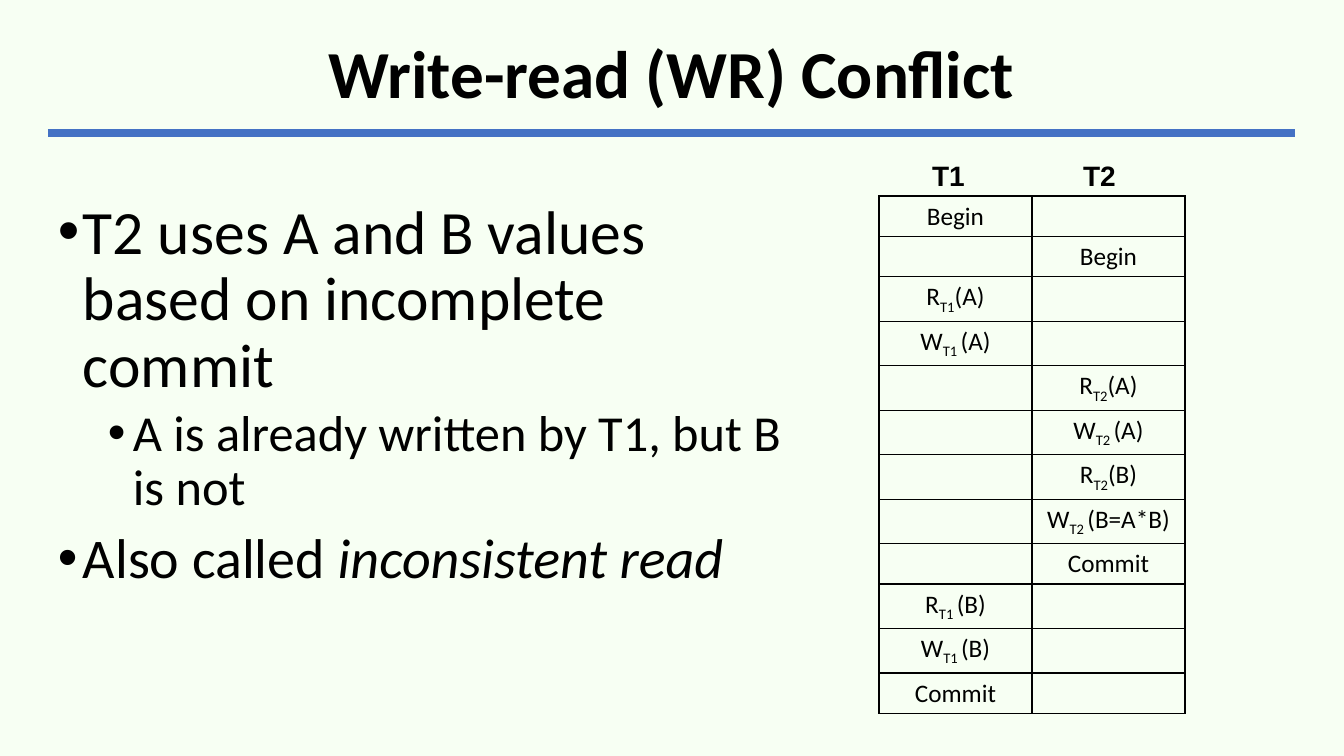
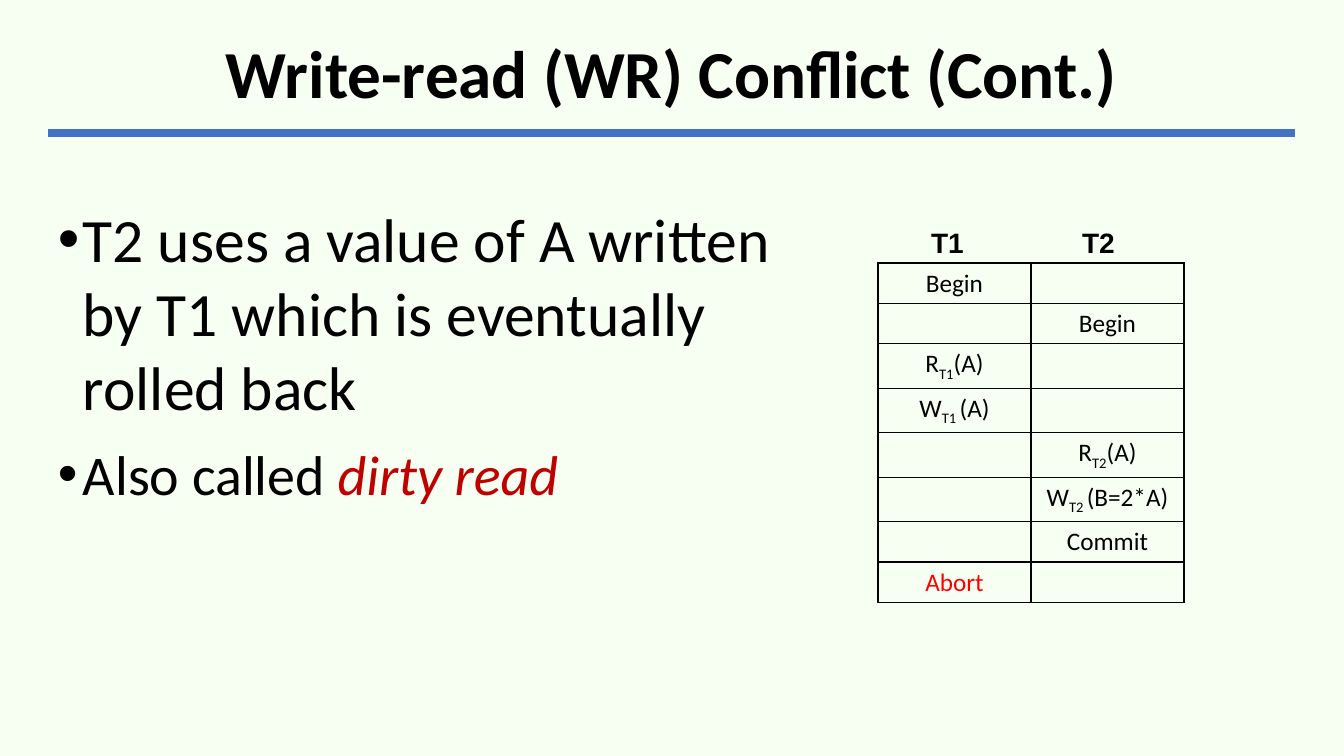
from lxml.etree import SubElement
from pptx import Presentation
from pptx.dml.color import RGBColor
from pptx.enum.shapes import MSO_CONNECTOR
from pptx.enum.text import MSO_ANCHOR, PP_ALIGN
from pptx.oxml import parse_xml
from pptx.oxml.ns import nsdecls, qn
from pptx.util import Pt

EMU_PER_PX = 914400 / 100.8
COLORS = {
    "background": "F7FFF3",
    "rule": "4472C4",
    "text": "000000",
    "emphasis": "C00000",
    "abort": "FF0000",
}
BODY_FONT = "Calibri"
HEADING_FONT = "Arial"

# Geometry shared by both slides
MARGIN, CONTENT_WIDTH = 48, 1247
BODY_TOP, BODY_WIDTH = 196, 749
COLUMN_WIDTH, ROW_HEIGHT = 153, 40
HEADING_INSET, HEADING_STEP, HEADING_WIDTH, HEADING_HEIGHT = 25, 151, 89, 68
BULLET_INDENT = 25

TRANSACTIONS = ["T1", "T2"]

# Each step is (transaction, operation); underscores enclose a subscript
INCONSISTENT_READ = [
    ("T1", "Begin"),
    ("T2", "Begin"),
    ("T1", "R_T1_(A)"),
    ("T1", "W_T1 _(A)"),
    ("T2", "R_T2_(A)"),
    ("T2", "W_T2 _(A)"),
    ("T2", "R_T2_(B)"),
    ("T2", "W_T2 _(B=A*B)"),
    ("T2", "Commit"),
    ("T1", "R_T1 _(B)"),
    ("T1", "W_T1 _(B)"),
    ("T1", "Commit"),
]
DIRTY_READ = [
    ("T1", "Begin"),
    ("T2", "Begin"),
    ("T1", "R_T1_(A)"),
    ("T1", "W_T1 _(A)"),
    ("T2", "R_T2_(A)"),
    ("T2", "W_T2 _(B=2*A)"),
    ("T2", "Commit"),
    ("T1", "Abort"),
]


def px(*lengths):
    return [round(length * EMU_PER_PX) for length in lengths]


def rgb(name):
    return RGBColor.from_string(COLORS[name])


def add_run(paragraph, text, size, font=BODY_FONT, color="text", bold=False, italic=False):
    run = paragraph.add_run()
    run.text = text
    run.font.size = Pt(size)
    run.font.name = font
    run.font.color.rgb = rgb(color)
    run.font.bold = bold
    run.font.italic = italic
    return run


def add_text_frame(slide, left, top, width, height):
    frame = slide.shapes.add_textbox(*px(left, top, width, height)).text_frame
    frame.word_wrap = True
    return frame


def add_title(slide, title):
    frame = add_text_frame(slide, MARGIN, 24, CONTENT_WIDTH, 105)
    frame.vertical_anchor = MSO_ANCHOR.MIDDLE
    paragraph = frame.paragraphs[0]
    paragraph.alignment = PP_ALIGN.CENTER
    paragraph.line_spacing = 0.9
    add_run(paragraph, title, 48, bold=True)


def add_title_rule(slide):
    rule = slide.shapes.add_connector(
        MSO_CONNECTOR.STRAIGHT, *px(MARGIN, 133, MARGIN + CONTENT_WIDTH, 133))
    rule.line.color.rgb = rgb("rule")
    rule.line.width = Pt(6)
    SubElement(rule._element.spPr, qn("a:effectLst"))


def add_bullet(paragraph, level, line_spacing, space_before):
    paragraph.level = level
    paragraph.line_spacing = line_spacing
    paragraph.space_before = Pt(space_before)
    properties = paragraph._p.get_or_add_pPr()
    left, hanging = px(BULLET_INDENT * (1 + 2 * level), -BULLET_INDENT)
    properties.set("marL", str(left))
    properties.set("indent", str(hanging))
    SubElement(properties, qn("a:buFont"), typeface="Arial")
    SubElement(properties, qn("a:buChar"), char="•")


def add_body(slide, height, line_spacing, points):
    """Each point is (level, space before, size, [(text, run style), ...])."""
    frame = add_text_frame(slide, MARGIN, BODY_TOP, BODY_WIDTH, height)
    for index, (level, space_before, size, pieces) in enumerate(points):
        paragraph = frame.add_paragraph() if index else frame.paragraphs[0]
        add_bullet(paragraph, level, line_spacing, space_before)
        for text, style in pieces:
            add_run(paragraph, text, size, **style)


def style_cell(cell):
    cell.fill.background()
    properties = cell._tc.get_or_add_tcPr()
    for position, side in enumerate(("lnL", "lnR", "lnT", "lnB")):
        properties.insert(position, parse_xml(
            f'<a:{side} {nsdecls("a")} w="{Pt(1)}"><a:solidFill>'
            f'<a:srgbClr val="{COLORS["text"]}"/></a:solidFill></a:{side}>'))


def write_operation(cell, operation):
    paragraph = cell.text_frame.paragraphs[0]
    paragraph.alignment = PP_ALIGN.CENTER
    color = "abort" if operation == "Abort" else "text"
    for index, text in enumerate(operation.split("_")):
        run = add_run(paragraph, text, 18, color=color)
        if index % 2:
            run._r.get_or_add_rPr().set("baseline", "-25000")


def add_schedule(slide, left, top, steps):
    # Grid of operations, one step per row
    table = slide.shapes.add_table(
        len(steps), len(TRANSACTIONS),
        *px(left, top, COLUMN_WIDTH * len(TRANSACTIONS), ROW_HEIGHT * len(steps))).table
    table.first_row = table.horz_banding = False
    for cell in table.iter_cells():
        style_cell(cell)
    for row, (transaction, operation) in enumerate(steps):
        write_operation(table.cell(row, TRANSACTIONS.index(transaction)), operation)

    # Transaction headings above the grid
    for column, transaction in enumerate(TRANSACTIONS):
        frame = add_text_frame(
            slide, left + HEADING_INSET + column * HEADING_STEP,
            top - HEADING_HEIGHT, HEADING_WIDTH, HEADING_HEIGHT)
        paragraph = frame.paragraphs[0]
        paragraph.alignment = PP_ALIGN.CENTER
        paragraph.line_spacing = Pt(42)
        add_run(paragraph, transaction, 20, HEADING_FONT, bold=True)


def add_conflict_slide(prs, title):
    slide = prs.slides.add_slide(prs.slide_layouts[6])
    add_title_rule(slide)
    add_title(slide, title)
    return slide


def main():
    prs = Presentation()
    prs.slide_width, prs.slide_height = px(1344, 756)
    master_fill = prs.slide_master.background.fill
    master_fill.solid()
    master_fill.fore_color.rgb = rgb("background")

    # Inconsistent read
    slide = add_conflict_slide(prs, "Write-read (WR) Conflict")
    add_body(slide, 463, 0.9, [
        (0, 10, 44, [("T2 uses A and B values based on incomplete commit", {})]),
        (1, 5, 36, [("A is already written by T1, but B is not", {})]),
        (0, 10, 40, [("Also called ", {}), ("inconsistent read", {"italic": True})]),
    ])
    add_schedule(slide, 879, 196, INCONSISTENT_READ)

    # Dirty read
    slide = add_conflict_slide(prs, "Write-read (WR) Conflict (Cont.)")
    add_body(slide, 490, 1.0, [
        (0, 12, 44, [("T2 uses a value of A written by T1 which is eventually rolled back", {})]),
        (0, 12, 40, [("Also called ", {}),
                     ("dirty read", {"italic": True, "color": "emphasis"})]),
    ])
    add_schedule(slide, 878, 263, DIRTY_READ)

    prs.save("out.pptx")


if __name__ == "__main__":
    main()
